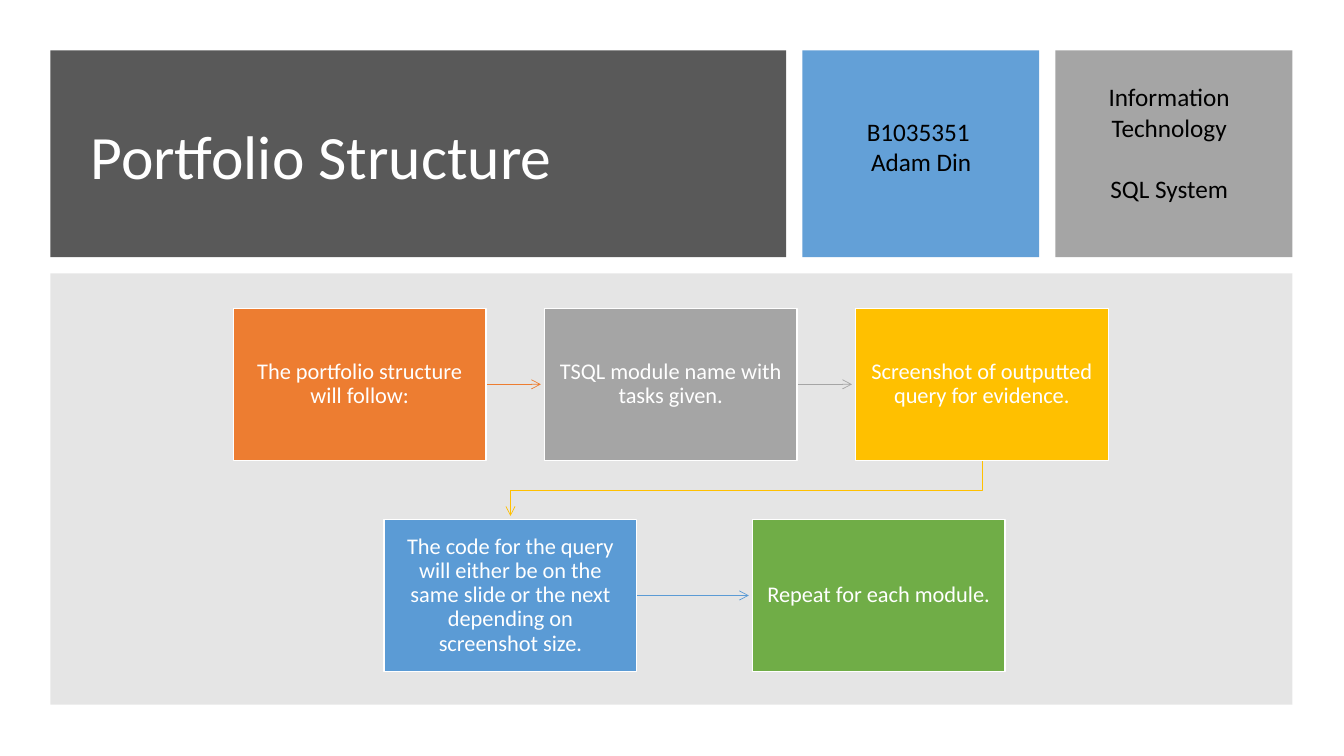
from dataclasses import dataclass
from itertools import pairwise

from lxml.etree import SubElement
from pptx import Presentation
from pptx.dml.color import RGBColor
from pptx.enum.shapes import MSO_CONNECTOR as Connector, MSO_SHAPE as Preset
from pptx.enum.text import MSO_ANCHOR as Anchor, MSO_AUTO_SIZE as AutoSize, PP_ALIGN as Align
from pptx.oxml.ns import qn
from pptx.util import Cm, Pt


@dataclass(frozen=True)
class Theme:
    font: str = "Calibri"
    title_size: int = 44
    label_size: int = 18
    step_size: int = 16
    light: str = "FFFFFF"
    dark: str = "000000"
    header: str = "595959"
    canvas: str = "808080"
    orange: str = "ED7D31"
    gray: str = "A5A5A5"
    gold: str = "FFC000"
    blue: str = "5B9BD5"
    green: str = "70AD47"


def write_text(frame, text, size, color, align=Align.CENTER, anchor=Anchor.MIDDLE,
               font="Calibri", spacing=None, gap=0, margins=(0.25, 0.13)):
    frame.word_wrap = True
    frame.auto_size = AutoSize.NONE
    frame.vertical_anchor = anchor
    frame.margin_left = frame.margin_right = Cm(margins[0])
    frame.margin_top = frame.margin_bottom = Cm(margins[1])
    frame.text = text
    for index, paragraph in enumerate(frame.paragraphs):
        paragraph.alignment = align
        paragraph.line_spacing = spacing
        paragraph.space_before = Pt(gap if index else 0)
        for run in paragraph.runs:
            run.font.name = font
            run.font.size = Pt(size)
            run.font.color.rgb = RGBColor.from_string(color)


class SlideBuilder:
    def __init__(self, slide, theme):
        self.slide = slide
        self.theme = theme

    def panel(self, left, top, width, height, color, opacity=100):
        shape = self.slide.shapes.add_shape(
            Preset.RECTANGLE, Cm(left), Cm(top), Cm(width), Cm(height))
        shape.shadow.inherit = False
        shape.fill.solid()
        shape.fill.fore_color.rgb = RGBColor.from_string(color)
        shape.line.fill.background()
        if opacity < 100:
            fill_color = shape.element.spPr.find(qn("a:solidFill"))[0]
            SubElement(fill_color, qn("a:alpha")).set("val", str(opacity * 1000))
        return shape

    def title(self, text, left, top, width, height, above):
        shape = self.slide.shapes.title
        shape.left, shape.top, shape.width, shape.height = map(Cm, (left, top, width, height))
        write_text(shape.text_frame, text, self.theme.title_size, self.theme.light,
                   align=Align.LEFT, font=self.theme.font, spacing=0.9)
        above.element.addnext(shape.element)

    def label(self, text, left, top, width, height, gap=0):
        box = self.slide.shapes.add_textbox(Cm(left), Cm(top), Cm(width), Cm(height))
        write_text(box.text_frame, text, self.theme.label_size, self.theme.dark,
                   anchor=Anchor.TOP, font=self.theme.font, gap=gap)

    def step(self, text, left, top, width, height, color):
        shape = self.panel(left, top, width, height, color)
        shape.line.color.rgb = RGBColor.from_string(self.theme.light)
        shape.line.width = Pt(1)
        write_text(shape.text_frame, text, self.theme.step_size, self.theme.light,
                   font=self.theme.font, spacing=0.9, margins=(0.3, 0.33))

    def arrow(self, points, color):
        points = [(Cm(x), Cm(y)) for x, y in points]
        if len(points) == 2:
            shape = self.slide.shapes.add_connector(Connector.STRAIGHT, *points[0], *points[1])
        else:
            outline = self.slide.shapes.build_freeform(*points[0])
            outline.add_line_segments(points[1:], close=False)
            shape = outline.convert_to_shape()
            shape.fill.background()
        shape.line.color.rgb = RGBColor.from_string(color)
        shape.line.width = Pt(0.5)
        properties = shape.element.spPr
        SubElement(properties.find(qn("a:ln")), qn("a:tailEnd")).set("type", "arrow")
        SubElement(properties, qn("a:effectLst"))


def main():
    presentation = Presentation()
    presentation.slide_width, presentation.slide_height = Cm(33.87), Cm(19.05)
    theme = Theme()
    builder = SlideBuilder(presentation.slides.add_slide(presentation.slide_layouts[5]), theme)

    margin, header_height, gutter = 1.27, 5.21, 0.41
    title_width, card_width = 18.54, 5.97
    student_left = margin + title_width + gutter
    course_left = student_left + card_width + gutter
    header = builder.panel(margin, margin, title_width, header_height, theme.header)
    builder.title("Portfolio Structure", 2.03, 2.03, 16.92, 3.96, above=header)
    builder.panel(student_left, margin, card_width, header_height, theme.blue, opacity=95)
    builder.panel(course_left, margin, card_width, header_height, theme.gray)
    builder.panel(margin, margin + header_height + gutter,
                  course_left + card_width - margin, 10.87, theme.canvas, opacity=20)

    step_width, step_height, arrow_gap = 6.37, 3.83, 0.09
    rows = [
        (7.77, 5.88, 7.84, [
            ("The portfolio structure will follow:", theme.orange),
            ("TSQL module name with tasks given.", theme.gray),
            ("Screenshot of outputted query for evidence.", theme.gold),
        ]),
        (13.09, 9.68, 9.28, [
            ("The code for the query will either be on the same slide "
             "or the next depending on screenshot size.", theme.blue),
            ("Repeat for each module.", theme.green),
        ]),
    ]
    steps = [(text, left + column * pitch, top, color)
             for top, left, pitch, row in rows
             for column, (text, color) in enumerate(row)]

    for (_, left, top, color), (_, next_left, next_top, _) in pairwise(steps):
        if top == next_top:
            middle = top + step_height / 2
            points = [(left + step_width, middle), (next_left - arrow_gap, middle)]
        else:
            start, end = left + step_width / 2, next_left + step_width / 2
            bottom = top + step_height
            turn = (bottom + next_top) / 2
            points = [(start, bottom), (start, turn), (end, turn), (end, next_top - arrow_gap)]
        builder.arrow(points, color)
    for text, left, top, color in steps:
        builder.step(text, left, top, step_width, step_height, color)

    builder.label("B1035351 \nAdam Din", 20.7, 2.79, 5.03, 1.8)
    builder.label("Information Technology\nSQL System", 26.95, 1.93, 5.03, 3.33, gap=22)

    presentation.save("out.pptx")


if __name__ == "__main__":
    main()
